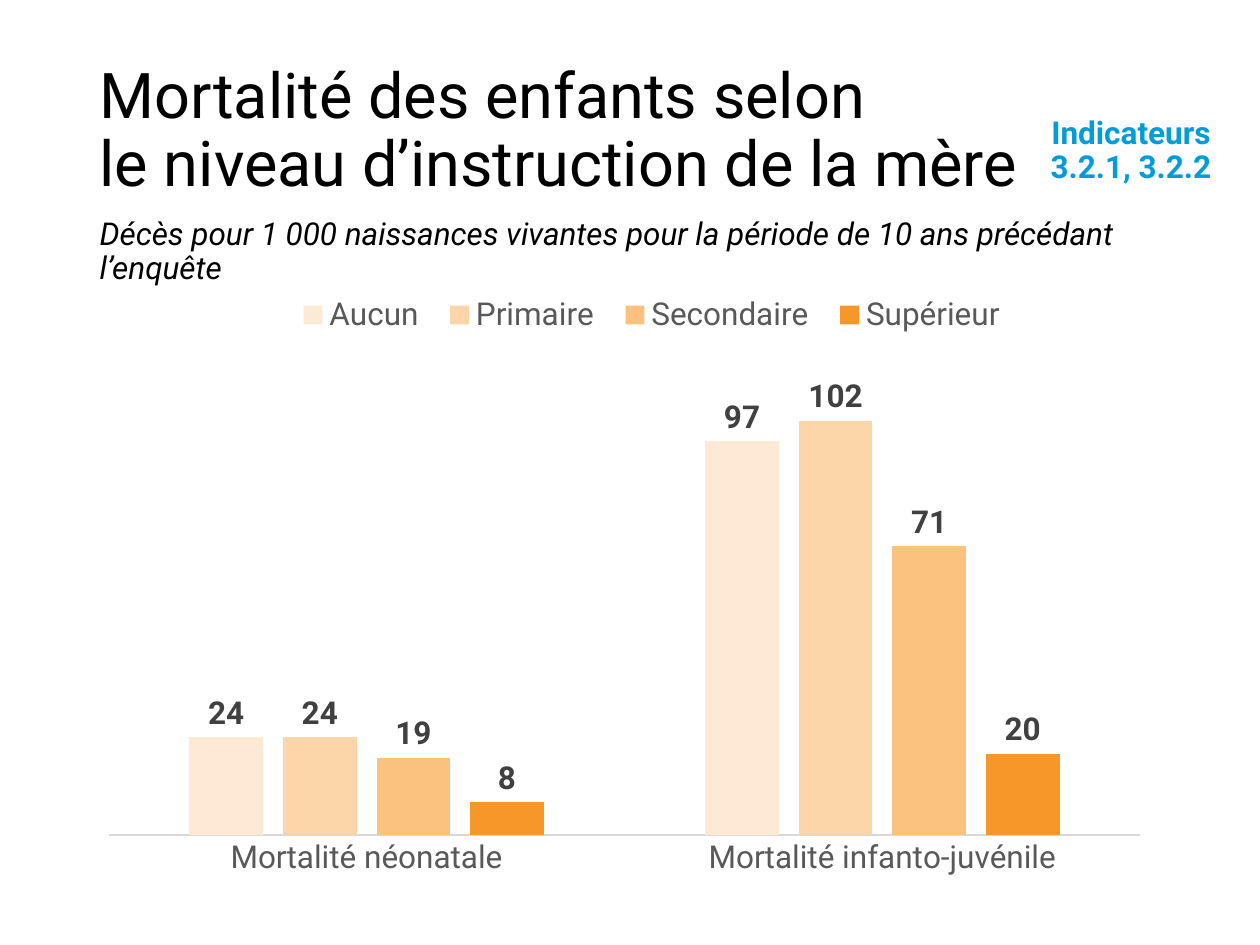
import lxml.etree
import pptx
import pptx.chart.data
import pptx.dml.color
import pptx.enum.chart
import pptx.enum.text
import pptx.oxml
import pptx.oxml.ns
import pptx.util

RGBColor = pptx.dml.color.RGBColor
BLACK = RGBColor(0x00, 0x00, 0x00)
BLUE = RGBColor(0x00, 0x9D, 0xDA)
AXIS_GRAY = RGBColor(0xD9, 0xD9, 0xD9)
TEXT_GRAY = RGBColor(0x59, 0x59, 0x59)
LABEL_GRAY = RGBColor(0x40, 0x40, 0x40)

FONT = "Roboto"
PX_PER_INCH = 126

CATEGORIES = ["Mortalité néonatale", "Mortalité infanto-juvénile"]
EDUCATION_LEVELS = [
    ("Aucun", (24, 97), RGBColor(0xFE, 0xEA, 0xD4)),
    ("Primaire", (24, 102), RGBColor(0xFC, 0xD5, 0xA9)),
    ("Secondaire", (19, 71), RGBColor(0xFB, 0xC1, 0x7F)),
    ("Supérieur", (8, 20), RGBColor(0xF8, 0x97, 0x29)),
]


def px(length):
    """Turn whole px into EMU."""
    return pptx.util.Emu(round(length * 914400 / PX_PER_INCH))


def style_font(font, size, color, bold=False, italic=False):
    font.name = FONT
    font.size = pptx.util.Pt(size)
    font.color.rgb = color
    font.bold = bold
    font.italic = italic


def fill_text(shape, box, text, size, color, align, anchor, **style):
    """Place a text shape in its box and write one paragraph in it."""
    shape.left, shape.top, shape.width, shape.height = map(px, box)
    frame = shape.text_frame
    frame.word_wrap = True
    frame.auto_size = pptx.enum.text.MSO_AUTO_SIZE.NONE
    frame.vertical_anchor = anchor
    frame.text = text
    paragraph = frame.paragraphs[0]
    paragraph.alignment = align
    paragraph.line_spacing = 0.9
    paragraph.space_before = pptx.util.Pt(0)
    style_font(paragraph.font, size, color, **style)
    return paragraph


def remove_bullet(paragraph):
    properties = paragraph._p.get_or_add_pPr()
    properties.set("marL", "0")
    properties.set("indent", "0")
    bullet = properties.makeelement(pptx.oxml.ns.qn("a:buNone"), {})
    spacing = properties.find(pptx.oxml.ns.qn("a:spcBef"))
    spacing.addnext(bullet)


def add_heading(slide, box):
    left, top, width, height = box
    align = pptx.enum.text.PP_ALIGN
    anchor = pptx.enum.text.MSO_ANCHOR
    fill_text(slide.shapes.title, (left, top, 1086, 129),
              "Mortalité des enfants selon\vle niveau d’instruction de la mère",
              36, BLACK, align.LEFT, anchor.MIDDLE)
    subtitle = fill_text(
        slide.placeholders[1], (left, top + 144, width - 43, height - 144),
        "Décès pour 1 000 naissances vivantes pour la période de 10 ans précédant l’enquête",
        18, BLACK, align.LEFT, anchor.TOP, italic=True)
    remove_bullet(subtitle)
    fill_text(slide.shapes.add_textbox(0, 0, 0, 0),
              (left + width - 218, top + 43, 218, 58),
              "Indicateurs 3.2.1, 3.2.2",
              18, BLUE, align.CENTER, anchor.TOP, bold=True)


def set_layout(element, left, top, width, height, inner=False):
    """Give a chart part a fixed place, in fractions of the chart."""
    for old in element.findall(pptx.oxml.ns.qn("c:layout")):
        element.remove(old)
    layout = pptx.oxml.parse_xml(
        f'<c:layout {pptx.oxml.ns.nsdecls("c")}><c:manualLayout/></c:layout>')
    values = [("layoutTarget", "inner")] if inner else []
    values += [("xMode", "edge"), ("yMode", "edge"),
               ("x", left), ("y", top), ("w", width), ("h", height)]
    for name, value in values:
        part = lxml.etree.SubElement(layout[0], pptx.oxml.ns.qn(f"c:{name}"))
        part.set("val", str(value))
    if inner:
        element.insert(0, layout)
    else:
        element.find(pptx.oxml.ns.qn("c:legendPos")).addnext(layout)


def add_mortality_chart(slide, box):
    enums = pptx.enum.chart
    data = pptx.chart.data.CategoryChartData()
    data.categories = CATEGORIES
    for name, values, _ in EDUCATION_LEVELS:
        data.add_series(name, values)
    chart = slide.shapes.add_chart(
        enums.XL_CHART_TYPE.COLUMN_CLUSTERED, *map(px, box), data).chart
    chart.has_title = False
    style_font(chart.font, 18, TEXT_GRAY)

    plot = chart.plots[0]
    plot.gap_width = 219
    plot.overlap = -27
    plot.vary_by_categories = False
    for series, (_, _, color) in zip(plot.series, EDUCATION_LEVELS):
        series.format.fill.solid()
        series.format.fill.fore_color.rgb = color
        labels = series.data_labels
        labels.show_value = True
        labels.position = enums.XL_LABEL_POSITION.OUTSIDE_END
        style_font(labels.font, 18, LABEL_GRAY, bold=True)

    category_axis = chart.category_axis
    category_axis.major_tick_mark = enums.XL_TICK_MARK.NONE
    category_axis.format.line.color.rgb = AXIS_GRAY
    category_axis.format.line.width = pptx.util.Pt(0.75)
    value_axis = chart.value_axis
    value_axis.minimum_scale = 0
    value_axis.maximum_scale = 120
    value_axis.has_major_gridlines = False
    value_axis.visible = False

    chart.has_legend = True
    chart.legend.position = enums.XL_LEGEND_POSITION.BOTTOM
    chart.legend.include_in_layout = False
    style_font(chart.legend.font, 18, TEXT_GRAY)
    set_layout(chart.legend._element, 0.18, 0.02, 0.68, 0.08)
    plot_area = chart._chartSpace.chart.plotArea
    set_layout(plot_area, 0.02, 0.11, 0.95, 0.75, inner=True)


def main():
    presentation = pptx.Presentation()
    presentation.slide_width = px(1260)
    presentation.slide_height = px(945)
    slide = presentation.slides.add_slide(presentation.slide_layouts[1])
    add_heading(slide, (87, 68, 1153, 202))
    add_mortality_chart(slide, (87, 276, 1086, 650))
    presentation.save("out.pptx")


if __name__ == "__main__":
    main()
